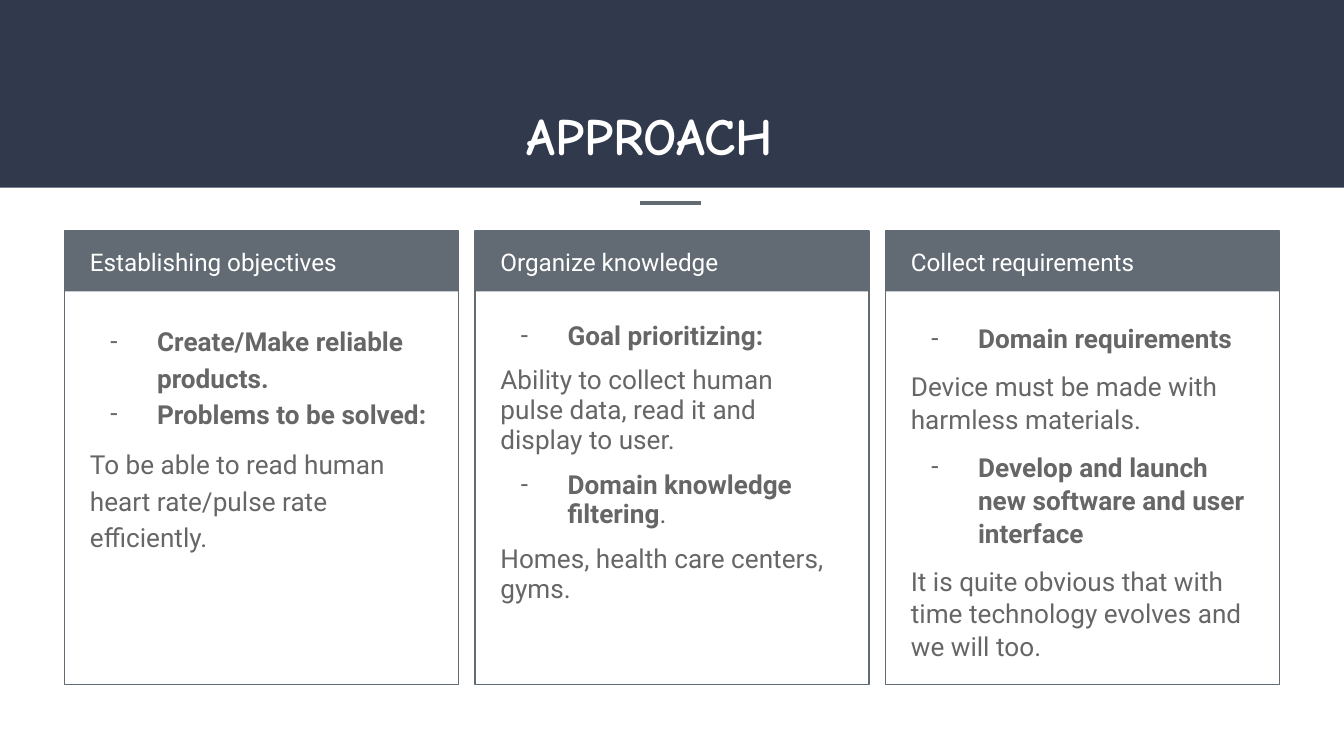
from lxml.etree import SubElement
from pptx import Presentation
from pptx.dml.color import RGBColor
from pptx.enum.shapes import MSO_CONNECTOR, MSO_SHAPE
from pptx.enum.text import MSO_ANCHOR, PP_ALIGN
from pptx.oxml.ns import qn
from pptx.util import Pt

NAVY, SLATE, GREY, WHITE = "31394D", "626B73", "666666", "FFFFFF"


def color(code):
    return RGBColor.from_string(code)


class Deck:
    face = "Roboto"
    inset = Pt(7.2)

    def __init__(self, wide, high):
        self.file = Presentation()
        self.file.slide_width, self.file.slide_height = Pt(wide), Pt(high)
        self.slide = self.file.slides.add_slide(self.file.slide_layouts[6])

    def rect(self, x, y, w, h, fill=None, line=None):
        shape = self.slide.shapes.add_shape(
            MSO_SHAPE.RECTANGLE, Pt(x), Pt(y), Pt(w), Pt(h))
        shape.shadow.inherit = False
        if fill:
            shape.fill.solid()
            shape.fill.fore_color.rgb = color(fill)
        else:
            shape.fill.background()
        if line:
            shape.line.color.rgb = color(line)
            shape.line.width = Pt(0.75)
        else:
            shape.line.fill.background()

    def rule(self, x, y, end, tint, width):
        line = self.slide.shapes.add_connector(
            MSO_CONNECTOR.STRAIGHT, Pt(x), Pt(y), Pt(end), Pt(y))
        line.line.color.rgb = color(tint)
        line.line.width = Pt(width)
        SubElement(line._element.spPr, qn("a:effectLst"))

    def frame(self, x, y, w, h):
        frame = self.slide.shapes.add_textbox(
            Pt(x), Pt(y), Pt(w), Pt(h)).text_frame
        frame.word_wrap = True
        frame.vertical_anchor = MSO_ANCHOR.TOP
        frame.margin_left = frame.margin_right = self.inset
        frame.margin_top = frame.margin_bottom = self.inset
        return frame

    def style(self, para, size, tint, bold=False, face=None):
        para.alignment = PP_ALIGN.LEFT
        font = para.font
        font.name, font.size, font.bold = face or self.face, Pt(size), bold
        font.color.rgb = color(tint)

    def label(self, box, text, size, tint, space=1.0, bold=False, face=None):
        para = self.frame(*box).paragraphs[0]
        para.add_run().text = text
        para.line_spacing = space
        self.style(para, size, tint, bold, face)

    def dash(self, para):
        props = para._p.get_or_add_pPr()
        props.set("marL", str(Pt(36)))
        props.set("indent", str(Pt(-25)))
        tint = SubElement(props, qn("a:buClr"))
        SubElement(tint, qn("a:srgbClr")).set("val", GREY)
        SubElement(props, qn("a:buFont")).set("typeface", self.face)
        SubElement(props, qn("a:buChar")).set("char", "-")

    def body(self, box, items, space):
        frame = self.frame(*box)
        for i, (point, gap, text, *tail) in enumerate(items):
            para = frame.add_paragraph() if i else frame.paragraphs[0]
            if point:
                self.dash(para)
            para.line_spacing = space
            para.space_before = Pt(gap)
            para.add_run().text = text
            self.style(para, 14, GREY, point)
            for part in tail:
                run = para.add_run()
                run.text = part
                run.font.bold = False


CARDS = [
    ("Establishing objectives", 1.15, [
        (True, 0, "Create/Make reliable products."),
        (True, 0, "Problems to be solved:"),
        (False, 8, "To be able to read human heart rate/pulse rate efficiently."),
    ]),
    ("Organize knowledge", 0.95, [
        (True, 0, "Goal prioritizing:"),
        (False, 8, "Ability to collect human pulse data, read it and display to user."),
        (True, 8, "Domain knowledge filtering", "."),
        (False, 8, "Homes, health care centers, gyms."),
    ]),
    ("Collect requirements", 1.05, [
        (True, 0, "Domain requirements"),
        (False, 8, "Device must be made with harmless materials."),
        (True, 8, "Develop and launch new software and user interface"),
        (False, 8, "It is quite obvious that with time technology evolves and we will too."),
    ]),
]


def main():
    deck = Deck(720, 405)
    deck.rect(0, 0, 720, 100.5, fill=NAVY)
    deck.label((275, 48.2, 171, 75), "APPROACH", 28, WHITE,
               bold=True, face="Comic Neue")
    deck.rule(343, 108.7, 375.5, SLATE, 2.25)
    for i, (head, space, items) in enumerate(CARDS):
        x = 34.6 + 219.9 * i
        deck.rect(x, 123.8, 211, 243, line=SLATE)
        deck.rect(x, 123.8, 211, 32.4, fill=SLATE)
        deck.label((x + 6.5, 123.1, 196, 32.4), head, 13, WHITE, 1.15)
        deck.body((x + 6.5, 164.9, 196.5, 201.6), items, space)
    deck.file.save("out.pptx")


if __name__ == "__main__":
    main()
